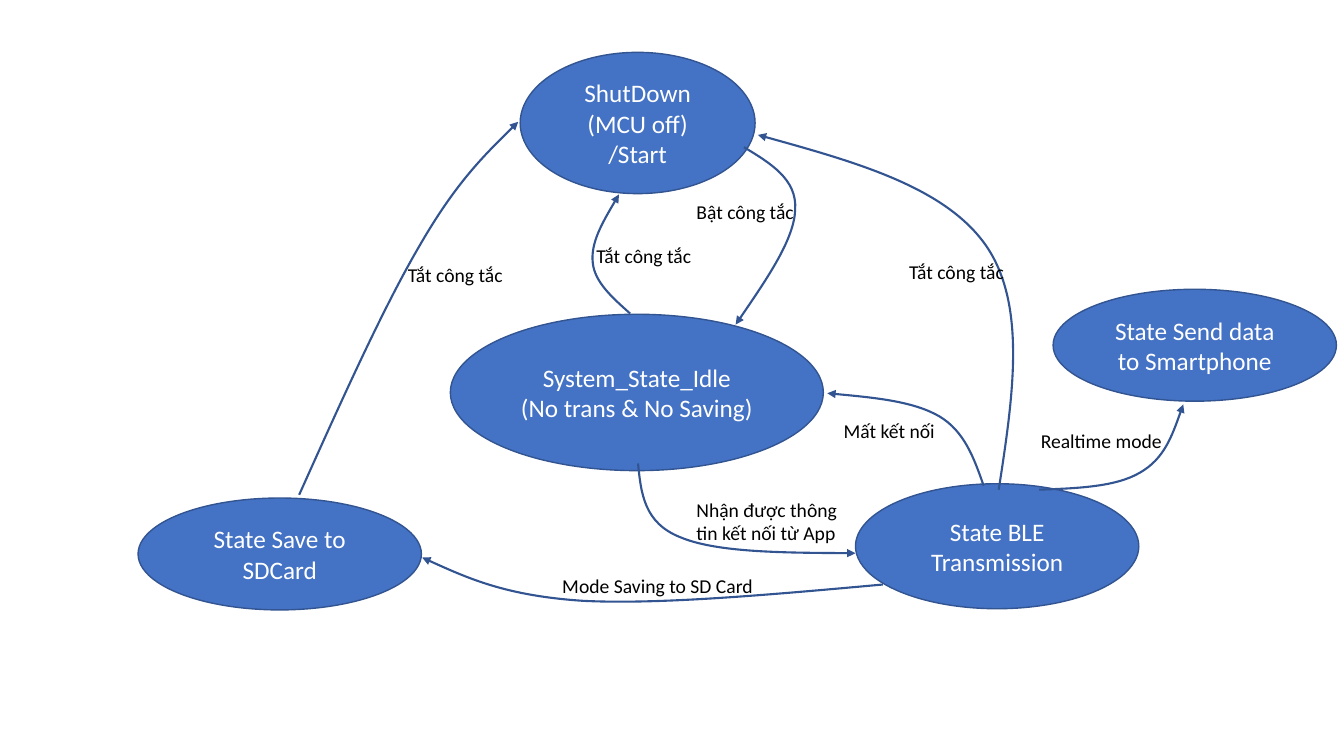
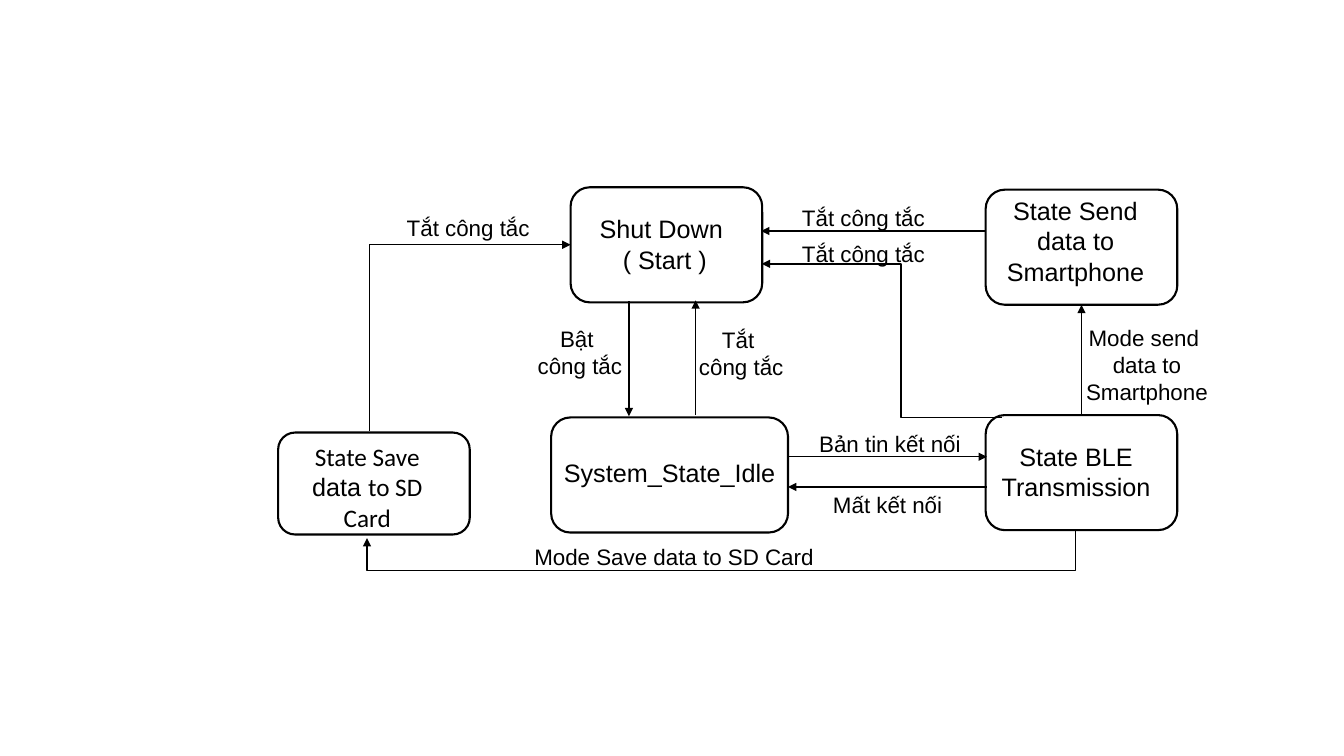
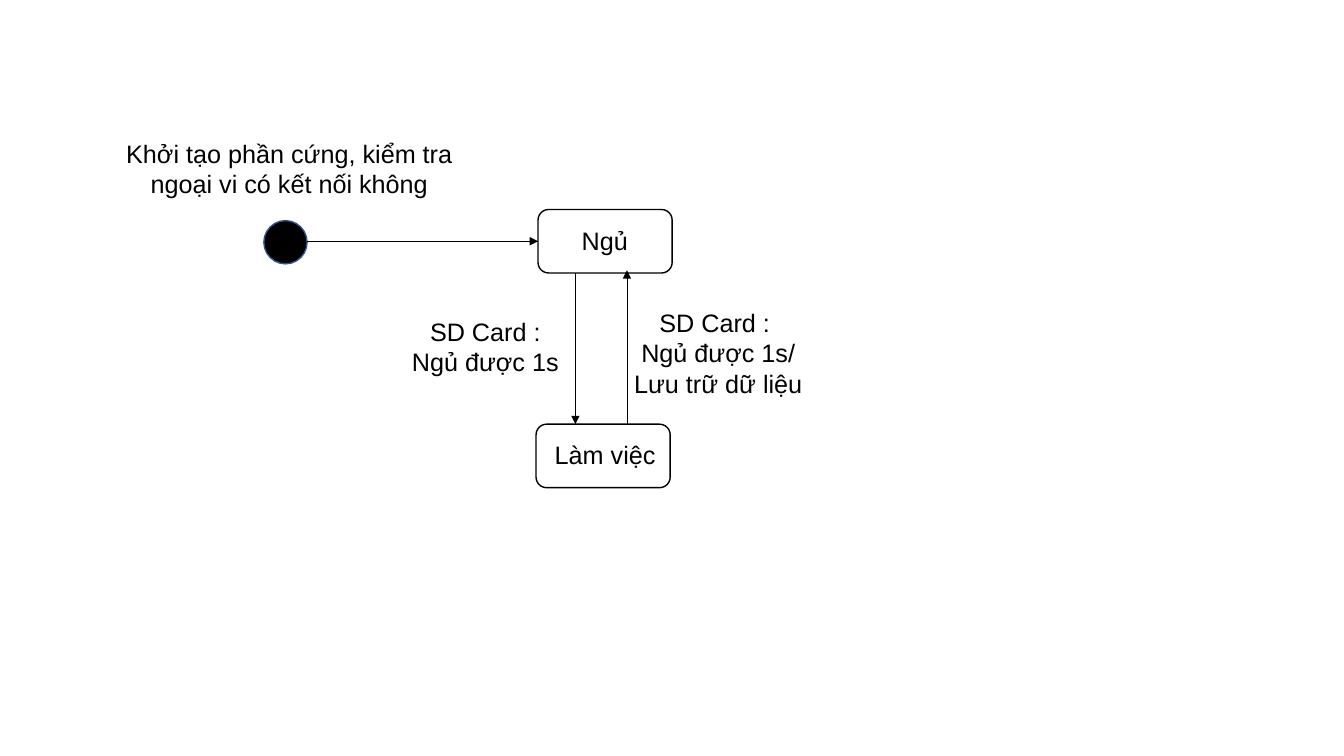
from dataclasses import dataclass

from lxml.etree import SubElement
from pptx import Presentation
from pptx.dml.color import RGBColor
from pptx.enum.shapes import MSO_CONNECTOR, MSO_SHAPE
from pptx.enum.text import MSO_ANCHOR, MSO_AUTO_SIZE, PP_ALIGN
from pptx.oxml.ns import qn
from pptx.util import Cm, Pt


@dataclass(frozen=True)
class Theme:
    """Colours, fonts and type sizes shared by the slides."""

    blue: RGBColor = RGBColor(0x44, 0x72, 0xC4)
    dark_blue: RGBColor = RGBColor(0x32, 0x54, 0x91)
    black: RGBColor = RGBColor(0, 0, 0)
    white: RGBColor = RGBColor(255, 255, 255)
    sans: str = "Arial"
    round_sans: str = "Calibri"
    state_size: int = 18
    event_size: int = 16
    note_size: int = 14


THEME = Theme()
SWITCH_OFF = "Tắt công tắc"


def add_span(para, text, font=THEME.sans, size=THEME.state_size, color=THEME.black):
    """Append one formatted run to a paragraph."""
    span = para.add_run()
    span.text = text
    span.font.name = font
    span.font.size = Pt(size)
    span.font.color.rgb = color


def write_text(frame, text, align=PP_ALIGN.CENTER, **style):
    """Fill a text frame with one paragraph per line of text."""
    frame.word_wrap = True
    for index, line in enumerate(text.split("\n")):
        para = frame.add_paragraph() if index else frame.paragraphs[0]
        para.alignment = align
        add_span(para, line, **style)


def add_label(page, text, left, top, width, lines=None, size=THEME.state_size, **style):
    """Add a text box as high as its lines need."""
    lines = lines or text.count("\n") + 1
    height = Cm(0.25) + Pt(size * 1.2 * lines)
    box = page.shapes.add_textbox(Cm(left), Cm(top), Cm(width), height)
    box.text_frame.auto_size = MSO_AUTO_SIZE.SHAPE_TO_FIT_TEXT
    write_text(box.text_frame, text, size=size, **style)
    return box


def add_event(page, text, left, top, width=4.04, **style):
    """Add the centred name of an event."""
    return add_label(page, text, left, top, width, size=THEME.event_size, **style)


def add_note(page, text, left, top, width=4.29, **style):
    """Add a left-aligned note beside a curve."""
    return add_label(page, text, left, top, width, size=THEME.note_size,
                     font=THEME.round_sans, align=PP_ALIGN.LEFT, **style)


def add_outline(page, preset, left, top, width, height, fill=None,
                line=THEME.black, weight=1):
    """Add a preset shape with the given fill and line."""
    shape = page.shapes.add_shape(preset, Cm(left), Cm(top), Cm(width), Cm(height))
    shape.shadow.inherit = False
    if fill is None:
        shape.fill.background()
    else:
        shape.fill.solid()
        shape.fill.fore_color.rgb = fill
    shape.line.color.rgb = line
    shape.line.width = Pt(weight)
    return shape


def add_oval_state(page, text, left, top, width=7.14, height=2.82):
    """Add a blue ellipse that names a state."""
    oval = add_outline(page, MSO_SHAPE.OVAL, left, top, width, height,
                       fill=THEME.blue, line=THEME.dark_blue)
    oval.text_frame.vertical_anchor = MSO_ANCHOR.MIDDLE
    write_text(oval.text_frame, text, font=THEME.round_sans, color=THEME.white)


def add_box_state(page, left, top, width=4.83, height=2.9, weight=1.5):
    """Add an unfilled rounded rectangle."""
    return add_outline(page, MSO_SHAPE.ROUNDED_RECTANGLE, left, top, width, height,
                       weight=weight)


def finish_arrow(arrow, color, weight):
    """Set the line of an arrow and put a triangle at its end."""
    arrow.line.color.rgb = color
    arrow.line.width = Pt(weight)
    properties = arrow.element.spPr
    SubElement(properties.find(qn("a:ln")), qn("a:tailEnd"), type="triangle")
    if properties.find(qn("a:effectLst")) is None:
        SubElement(properties, qn("a:effectLst"))


def add_arrow(page, start, end, weight=1, kind=MSO_CONNECTOR.STRAIGHT):
    """Add a connector with an arrowhead."""
    arrow = page.shapes.add_connector(kind, *map(Cm, start + end))
    finish_arrow(arrow, THEME.black, weight)
    return arrow


def add_elbow(page, start, end, *adjusts):
    """Add a bent arrow whose corners lie at the given fractions."""
    arrow = add_arrow(page, start, end, kind=MSO_CONNECTOR.ELBOW)
    geometry = arrow.element.spPr.find(qn("a:prstGeom"))
    geometry.set("prst", f"bentConnector{len(adjusts) + 2}")
    guides = geometry.find(qn("a:avLst"))
    for number, fraction in enumerate(adjusts, 1):
        SubElement(guides, qn("a:gd"), name=f"adj{number}",
                   fmla=f"val {round(fraction * 100000)}")


def midpoint(first, second):
    """Return the point halfway between two points."""
    return tuple((a + b) / 2 for a, b in zip(first, second))


def add_curve(page, start, control_in, knot, control_out, end):
    """Add a two-part Bézier arrow; the outer controls are midpoints."""
    points = [midpoint(start, control_in), control_in, knot,
              control_out, midpoint(control_out, end), end]
    builder = page.shapes.build_freeform(*map(Cm, start))
    builder.add_line_segments([tuple(map(Cm, point)) for point in points], close=False)
    curve = builder.convert_to_shape()
    curve.shadow.inherit = False
    curve.fill.background()
    outline = next(curve.element.iter(qn("a:path")))
    segments = outline.findall(qn("a:lnTo"))
    for first in range(0, len(segments), 3):
        cubic = SubElement(outline, qn("a:cubicBezTo"))
        for segment in segments[first:first + 3]:
            cubic.append(segment[0])
            outline.remove(segment)
    finish_arrow(curve, THEME.dark_blue, 1.5)


def build_oval_states(page):
    """Draw the state diagram with ellipses and curves."""
    add_oval_state(page, "ShutDown\n(MCU off)\n/Start", 13.11, 1.32, 5.92, 3.56)
    add_oval_state(page, "System_State_Idle\n(No trans & No Saving)",
                   11.35, 7.92, 9.4, 3.94)
    add_oval_state(page, "State BLE Transmission", 21.56, 12.19, height=3.15)
    add_oval_state(page, "State Save to SDCard", 3.48, 12.55)
    add_oval_state(page, "State Send data to Smartphone", 26.54, 7.29)
    curves = [
        ((18.75, 3.71), (20.09, 4.52), (20.04, 5.28), (20.02, 6.02), (18.54, 8.18)),
        ((16.08, 11.68), (16.23, 13.18), (17.15, 13.54), (18.06, 13.92), (21.56, 13.94)),
        ((24.79, 12.24), (24.31, 10.87), (23.67, 10.49), (23.01, 10.11), (20.85, 9.91)),
        ((22.25, 14.73), (16.61, 15.24), (14.68, 15.14), (12.75, 15.01), (10.64, 14.05)),
        ((7.54, 12.47), (9.65, 7.77), (10.57, 6.2), (11.48, 4.62), (13.06, 3.07)),
        ((25.17, 12.34), (25.88, 7.72), (24.87, 6.22), (23.85, 4.72), (19.1, 3.4)),
        ((15.88, 7.9), (14.99, 7.11), (14.94, 6.63), (14.88, 6.12), (15.6, 4.9)),
        ((26.19, 12.34), (28.12, 12.27), (28.73, 11.91), (29.34, 11.56), (29.82, 10.19)),
    ]
    for points in curves:
        add_curve(page, *points)
    add_note(page, "Bật công tắc", 17.3, 4.9)
    add_note(page, "Nhận được thông tin kết nối từ App", 17.3, 12.42, lines=2)
    add_note(page, "Mất kết nối", 21.01, 10.44)
    add_note(page, "Mode Saving to SD Card", 13.92, 14.33, 5.54)
    add_note(page, "Realtime mode", 25.98, 10.67)
    for left, top in [(10.03, 6.5), (22.66, 6.43), (14.78, 6.02)]:
        add_note(page, SWITCH_OFF, left, top)


def build_box_states(page):
    """Draw the state diagram with rounded boxes and right angles."""
    add_box_state(page, 14.38, 4.72)
    add_box_state(page, 13.89, 10.52, width=5.97)
    add_box_state(page, 7.01, 10.9, height=2.57)
    transmit = add_box_state(page, 24.84, 10.46)
    send = add_box_state(page, 24.84, 4.78)

    add_label(page, "Shut Down\n ( Start )", 13.77, 5.26, 5.79)
    add_label(page, "System_State_Idle", 13.89, 11.4, 5.97)
    add_label(page, "State BLE Transmission", 24.87, 11, 4.5, lines=2)
    add_label(page, "State Send data to Smartphone", 24.69, 4.8, 4.83, lines=3)
    save = add_label(page, "State Save ", 7.21, 11, 4.09, lines=3, font=THEME.round_sans)
    para = save.text_frame.paragraphs[0]
    add_span(para, "data ")
    add_span(para, "to SD Card", font=THEME.round_sans)

    for start, end in [
        ((15.85, 7.59), (15.85, 10.49)),
        ((17.53, 10.46), (17.53, 7.57)),
        ((19.86, 11.51), (24.87, 11.51)),
        ((24.87, 12.27), (19.86, 12.27)),
        ((24.84, 5.82), (19.18, 5.82)),
    ]:
        add_arrow(page, start, end)
    upload = add_arrow(page, (27.25, 10.46), (27.25, 7.68))
    upload.begin_connect(transmit, 0)
    upload.end_connect(send, 2)
    add_elbow(page, (27.1, 13.38), (9.25, 13.56), 0, 5.56)
    add_elbow(page, (25.25, 10.52), (19.2, 6.65), 0.42)
    add_elbow(page, (9.32, 10.85), (14.38, 6.17), 0)

    add_event(page, "Bật \ncông tắc", 12.95, 8.08, 3.33)
    add_event(page, "Tắt \ncông tắc", 16.66, 8.1)
    add_event(page, "Mất kết nối", 20.35, 12.24)
    add_event(page, "Bản tin kết nối", 20.17, 10.72, 4.52)
    add_event(page, "Mode send \ndata to Smartphone", 26.39, 8.05, 5.03, lines=3)
    add_event(page, "Mode Save data to SD Card ", 12.95, 13.56, 8.23)
    for left, top in [(19.74, 5.03), (9.78, 5.26), (19.74, 5.92)]:
        add_event(page, SWITCH_OFF, left, top)


def build_sleep_cycle(page):
    """Draw the start point and the sleep and work states."""
    add_outline(page, MSO_SHAPE.OVAL, 6.65, 5.56, 1.09, 1.09,
                fill=THEME.black, line=THEME.dark_blue)
    sleep = add_box_state(page, 13.56, 5.28, 3.38, 1.6, weight=1)
    add_box_state(page, 13.51, 10.69, 3.38, 1.6, weight=1)
    add_arrow(page, (7.74, 6.08), (13.56, 6.08)).end_connect(sleep, 1)
    add_arrow(page, (14.5, 6.88), (14.5, 10.69), weight=0.5)
    add_arrow(page, (15.8, 10.69), (15.8, 6.81), weight=0.5)
    add_label(page, "Khởi tạo phần cứng, kiểm tra ngoại vi có kết nối không",
              2.87, 3.35, 8.84, lines=2)
    add_label(page, "Ngủ", 14.3, 5.56, 1.88)
    add_label(page, "Làm việc", 13.56, 10.95, 3.38)
    add_label(page, "SD Card : \nNgủ được 1s ", 9.96, 7.85, 4.72)
    add_label(page, "SD Card : \nNgủ được 1s/\nLưu trữ dữ liệu", 15.6, 7.62, 5)


def main():
    """Build and save the deck."""
    deck = Presentation()
    deck.slide_width = Cm(33.87)
    deck.slide_height = Cm(19.05)
    blank = deck.slide_layouts[6]
    for build in (build_oval_states, build_box_states, build_sleep_cycle):
        build(deck.slides.add_slide(blank))
    deck.save("out.pptx")


if __name__ == "__main__":
    main()
